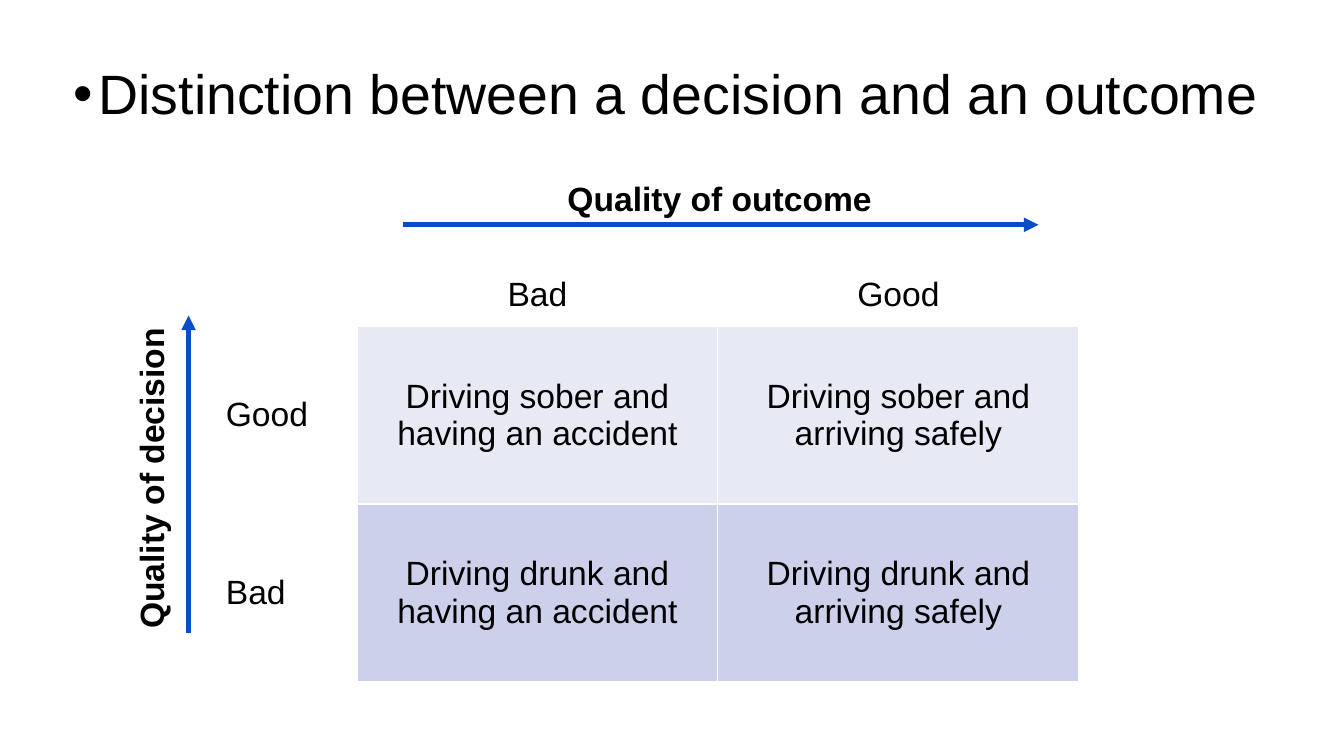
from dataclasses import dataclass

import lxml.etree
import pptx
import pptx.dml.color
import pptx.enum.shapes
import pptx.enum.text
import pptx.oxml.ns
import pptx.util

Inches = pptx.util.Inches
RGBColor = pptx.dml.color.RGBColor
ALIGN = pptx.enum.text.PP_ALIGN
ANCHOR = pptx.enum.text.MSO_ANCHOR

BLACK = RGBColor(0x00, 0x00, 0x00)
WHITE = RGBColor(0xFF, 0xFF, 0xFF)
BLUE = RGBColor(0x0B, 0x4D, 0xC7)
PALE = RGBColor(0xE7, 0xE9, 0xF5)
LAVENDER = RGBColor(0xCC, 0xD0, 0xEB)

COLUMN_WIDTHS = (1.4, 3.58, 3.58)
ROW_HEIGHTS = (0.63, 1.76, 1.76)
ROW_FILLS = (None, PALE, LAVENDER)
MATRIX = (
    ("", "Bad", "Good"),
    ("Good", "Driving sober and having an accident", "Driving sober and arriving safely"),
    ("Bad", "Driving drunk and having an accident", "Driving drunk and arriving safely"),
)


@dataclass
class Axis:
    label: str
    left: float
    top: float
    width: float
    rotation: int
    start: tuple[float, float]
    end: tuple[float, float]


AXES = (
    Axis("Quality of outcome", 5.53, 1.72, 3.25, 0, (4, 2.23), (10.3, 2.23)),
    Axis("Quality of decision", -0.11, 4.48, 3.21, 270, (1.87, 6.28), (1.87, 3.13)),
)


def add_child(parent, tag: str, **attributes: str):
    return lxml.etree.SubElement(parent, pptx.oxml.ns.qn(tag), attributes)


def write_text(frame, text: str, *, size: float = 24, bold: bool = False,
               align=ALIGN.LEFT, bullet: bool = False):
    para = frame.paragraphs[0]
    para.alignment = align
    if bullet:
        para.line_spacing = 0.9
        properties = para._p.get_or_add_pPr()
        properties.set("marL", str(Inches(0.25)))
        properties.set("indent", str(-Inches(0.25)))
        add_child(properties, "a:buFont", typeface="Arial")
        add_child(properties, "a:buChar", char="•")
    span = para.add_run()
    span.text = text
    span.font.name = "Arial"
    span.font.size = pptx.util.Pt(size)
    span.font.bold = bold
    span.font.color.rgb = BLACK


def add_title(page) -> None:
    box = page.shapes.add_textbox(Inches(0.63), Inches(0.4), Inches(12.57), Inches(1.11))
    box.text_frame.word_wrap = True
    box.text_frame.vertical_anchor = ANCHOR.MIDDLE
    write_text(box.text_frame, "Distinction between a decision and an outcome",
               size=39.6, bullet=True)


def add_borders(cell) -> None:
    properties = cell._tc.get_or_add_tcPr()
    for position, side in enumerate(("a:lnL", "a:lnR", "a:lnT", "a:lnB")):
        border = add_child(properties, side, w=str(pptx.util.Pt(1)))
        add_child(add_child(border, "a:solidFill"), "a:srgbClr", val=str(WHITE))
        properties.insert(position, border)


def add_matrix(page) -> None:
    table = page.shapes.add_table(
        len(ROW_HEIGHTS), len(COLUMN_WIDTHS), Inches(2.14), Inches(2.61),
        Inches(sum(COLUMN_WIDTHS)), Inches(sum(ROW_HEIGHTS))).table
    table.first_row = False
    table.horz_banding = False
    for column, width in zip(table.columns, COLUMN_WIDTHS):
        column.width = Inches(width)
    for row, height, fill, texts in zip(table.rows, ROW_HEIGHTS, ROW_FILLS, MATRIX):
        row.height = Inches(height)
        for index, (cell, text) in enumerate(zip(row.cells, texts)):
            cell.vertical_anchor = ANCHOR.MIDDLE
            if fill and index:
                cell.fill.solid()
                cell.fill.fore_color.rgb = fill
            else:
                cell.fill.background()
            add_borders(cell)
            if text:
                write_text(cell.text_frame, text,
                           align=ALIGN.CENTER if index else ALIGN.LEFT)


def add_axis(page, axis: Axis) -> None:
    arrow = page.shapes.add_connector(
        pptx.enum.shapes.MSO_CONNECTOR.STRAIGHT,
        *(Inches(value) for value in axis.start + axis.end))
    arrow.line.color.rgb = BLUE
    arrow.line.width = pptx.util.Pt(3.5)
    add_child(arrow.line._get_or_add_ln(), "a:tailEnd", type="triangle")
    add_child(arrow._element.spPr, "a:effectLst")
    box = page.shapes.add_textbox(
        Inches(axis.left), Inches(axis.top), Inches(axis.width), Inches(0.5))
    box.rotation = axis.rotation
    box.text_frame.word_wrap = False
    box.text_frame.auto_size = pptx.enum.text.MSO_AUTO_SIZE.SHAPE_TO_FIT_TEXT
    write_text(box.text_frame, axis.label, bold=True)


def main() -> None:
    deck = pptx.Presentation()
    deck.slide_width = Inches(13.33)
    deck.slide_height = Inches(7.5)
    page = deck.slides.add_slide(deck.slide_layouts[6])
    add_title(page)
    add_matrix(page)
    for axis in AXES:
        add_axis(page, axis)
    deck.save("out.pptx")


if __name__ == "__main__":
    main()
